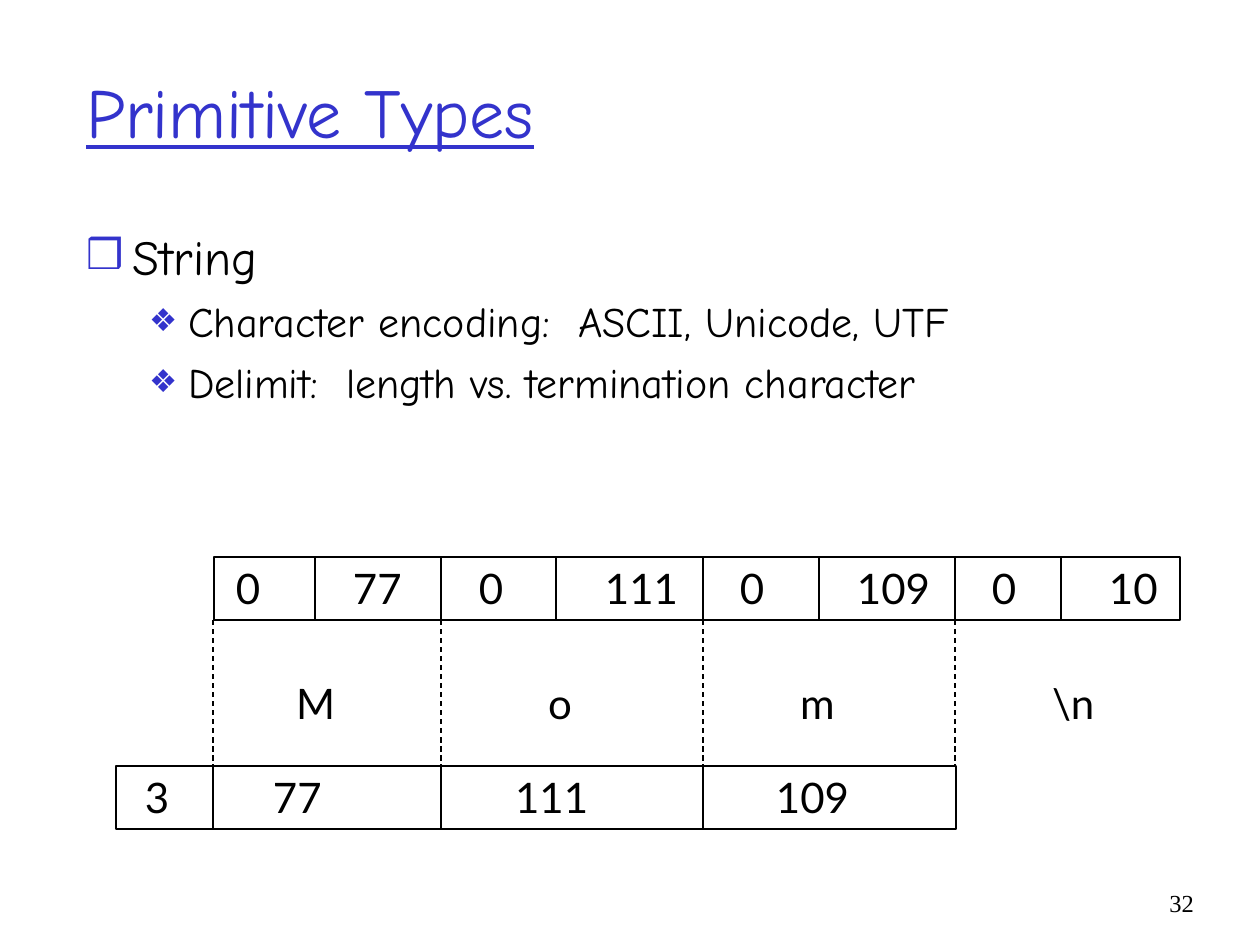
from lxml import etree
from pptx import Presentation
from pptx.dml.color import RGBColor
from pptx.enum.dml import MSO_LINE
from pptx.enum.shapes import MSO_CONNECTOR, MSO_SHAPE
from pptx.enum.text import MSO_ANCHOR, MSO_AUTO_SIZE, PP_ALIGN
from pptx.oxml.ns import qn
from pptx.util import Emu, Pt

RECTANGLE = MSO_SHAPE.RECTANGLE
STRAIGHT = MSO_CONNECTOR.STRAIGHT
DASH = MSO_LINE.DASH
TOP, MIDDLE = MSO_ANCHOR.TOP, MSO_ANCHOR.MIDDLE
LEFT, RIGHT = PP_ALIGN.LEFT, PP_ALIGN.RIGHT
NO_AUTOFIT = MSO_AUTO_SIZE.NONE
PX_PER_INCH = 126
INSET_X, INSET_Y = 13, 6


def px(length):
    return Emu(round(length * 914400 / PX_PER_INCH))


def color(hex_string):
    return RGBColor.from_string(hex_string)


def write(paragraph, text, *, font, size, ink="000000", underline=None,
          align=LEFT, before=0):
    paragraph.alignment = align
    paragraph.space_before = Pt(before)
    run = paragraph.add_run()
    run.text = text
    run.font.name = font
    run.font.size = Pt(size)
    run.font.color.rgb = color(ink)
    run.font.underline = underline


def add_xml(parent, tag, **attributes):
    return etree.SubElement(parent, qn(tag), attributes)


class SlideBuilder:
    HEADING_FONT, CELL_FONT, NUMBER_FONT = "Comic Neue", "Lato", "Times New Roman"
    ACCENT, INK = "3333CC", "000000"
    # level: text size, space before, left margin, hanging indent, bullet, bullet %
    LEVELS = {0: (28, 7, 47, 47, "❒", 85), 1: (24, 6, 102, 39, "❖", 75)}

    def __init__(self, presentation):
        self.slide = presentation.slides.add_slide(presentation.slide_layouts[1])

    def frame(self, shape, anchor=TOP, left_inset=INSET_X):
        frame = shape.text_frame
        frame.word_wrap = True
        frame.auto_size = NO_AUTOFIT
        frame.vertical_anchor = anchor
        frame.margin_left, frame.margin_right = px(left_inset), px(INSET_X)
        frame.margin_top = frame.margin_bottom = px(INSET_Y)
        return frame

    def place(self, shape, box):
        shape.left, shape.top, shape.width, shape.height = map(px, box)

    def title(self, text, box):
        heading = self.slide.shapes.title
        self.place(heading, box)
        write(self.frame(heading, MIDDLE).paragraphs[0], text, underline=True,
              font=self.HEADING_FONT, size=40, ink=self.ACCENT)

    def bullets(self, items, box):
        body = self.slide.placeholders[1]
        self.place(body, box)
        frame = self.frame(body)
        for index, (level, text) in enumerate(items):
            paragraph = frame.add_paragraph() if index else frame.paragraphs[0]
            paragraph.level = level
            size, before, margin, hanging, bullet, percent = self.LEVELS[level]
            write(paragraph, text, font=self.HEADING_FONT, size=size, before=before)
            properties = paragraph._p.get_or_add_pPr()
            properties.set("marL", str(px(margin)))
            properties.set("indent", str(-px(hanging)))
            add_xml(add_xml(properties, "a:buClr"), "a:srgbClr", val=self.ACCENT)
            add_xml(properties, "a:buSzPct", val=str(percent * 1000))
            add_xml(properties, "a:buChar", char=bullet)

    def tabbed_row(self, values, starts, box, framed=True):
        """One row of values, each starting at its own offset from the left edge."""
        if framed:
            row = self.slide.shapes.add_shape(RECTANGLE, *map(px, box))
            row.shadow.inherit = False
            row.fill.background()
            row.line.color.rgb = color(self.INK)
            row.line.width = Pt(0.75)
        else:
            row = self.slide.shapes.add_textbox(*map(px, box))
        paragraph = self.frame(row, left_inset=starts[0]).paragraphs[0]
        write(paragraph, "\t".join(values), font=self.CELL_FONT, size=24)
        stops = add_xml(paragraph._p.get_or_add_pPr(), "a:tabLst")
        for start in starts[1:]:
            add_xml(stops, "a:tab", pos=str(px(start - starts[0])), algn="l")

    def verticals(self, columns, top, bottom, dash=None):
        for x in columns:
            line = self.slide.shapes.add_connector(
                STRAIGHT, px(x), px(top), px(x), px(bottom))
            line.line.color.rgb = color(self.INK)
            line.line.width = Pt(0.75)
            if dash:
                line.line.dash_style = dash
            add_xml(line._element.spPr, "a:effectLst")

    def page_number(self, text, box):
        number = self.slide.shapes.add_textbox(*map(px, box))
        write(self.frame(number).paragraphs[0], text, font=self.NUMBER_FONT,
              size=14, align=RIGHT)


def main():
    presentation = Presentation()
    presentation.slide_width, presentation.slide_height = px(1260), px(945)
    builder = SlideBuilder(presentation)

    # Heading and list
    builder.title("Primitive Types", (73, 32, 1071, 157))
    builder.bullets([
        (0, "String"),
        (1, "Character encoding:  ASCII, Unicode, UTF"),
        (1, "Delimit:  length vs. termination character"),
    ], (73, 220, 1045, 278))

    # Letters between the two encodings
    row_height, wide_top, short_top = 63, 557, 766
    wide_bottom = wide_top + row_height
    letter_starts = [INSET_X + 252 * i for i in range(4)]
    builder.tabbed_row(["M", "o", "m", "\\n"], letter_starts,
                       (283, 672, 903, row_height), framed=False)

    # Length-prefixed bytes
    builder.tabbed_row(["3", "77", "111", "109"], [29, 157, 399, 660],
                       (116, short_top, 840, row_height))

    # Two-byte characters, closed by a terminator
    wide_starts = [22, 139, 265, 391, 526, 643, 778, 895]
    builder.tabbed_row(["0", "77", "0", "111", "0", "109", "0", "10"],
                       wide_starts, (214, wide_top, 966, row_height))

    # Cell borders and the dashed guides joining the rows
    first, *shared, last = 213, 441, 703, 955
    byte_splits = [315, 556, 819, 1061]
    builder.verticals(sorted(byte_splits + shared + [last]), wide_top, wide_bottom)
    builder.verticals([first, *shared], short_top, short_top + row_height)
    builder.verticals([first, *shared, last], wide_bottom, short_top, DASH)

    builder.page_number("32", (1144, 882, 63, 63))
    presentation.save("out.pptx")


if __name__ == "__main__":
    main()
